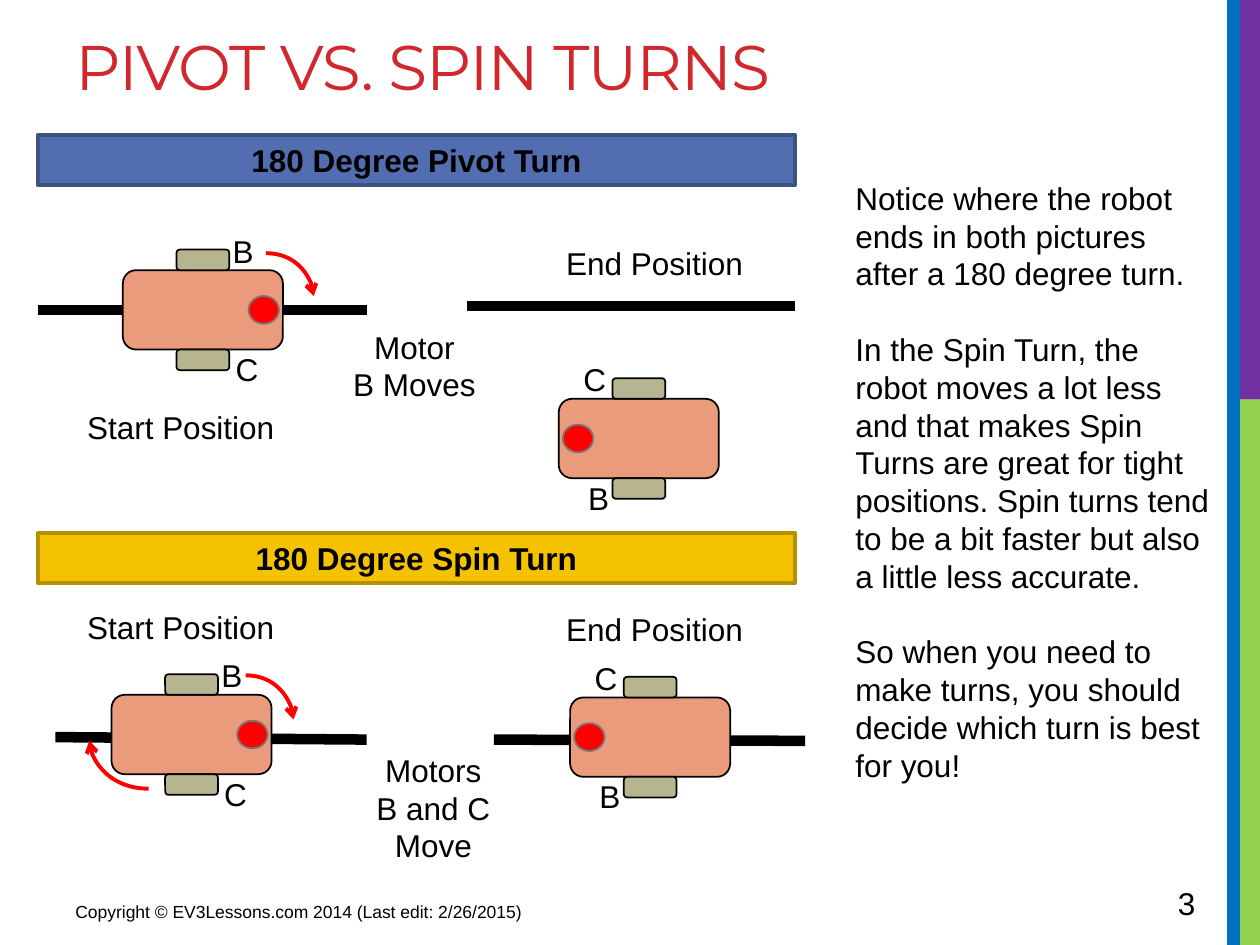
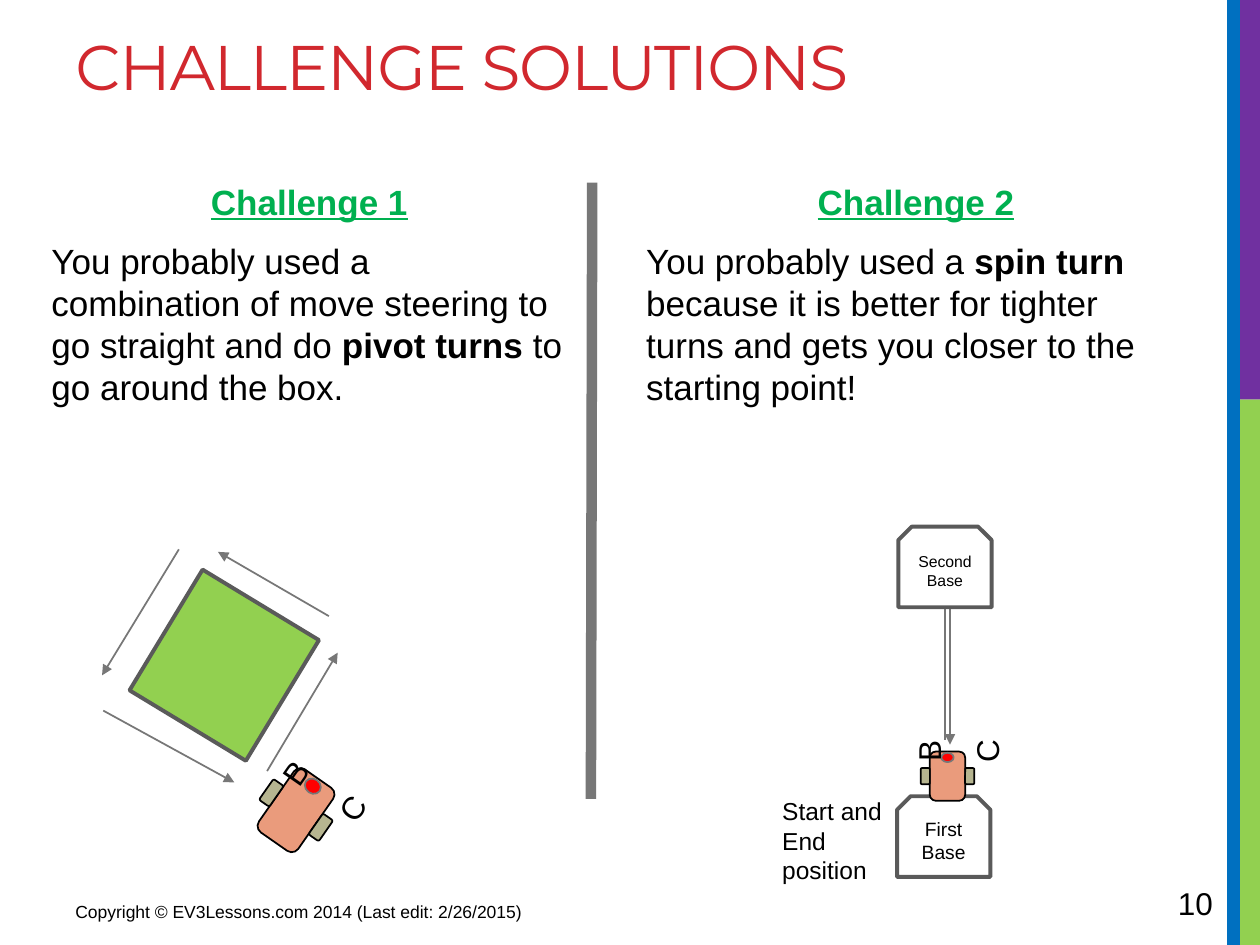
from dataclasses import dataclass
from math import cos, radians, sin

from lxml import etree
from pptx import Presentation
from pptx.dml.color import RGBColor
from pptx.enum.shapes import MSO_CONNECTOR, MSO_SHAPE
from pptx.enum.text import MSO_ANCHOR, PP_ALIGN
from pptx.oxml.ns import qn
from pptx.util import Inches, Pt

RECT, ROUNDED, OVAL = MSO_SHAPE.RECTANGLE, MSO_SHAPE.ROUNDED_RECTANGLE, MSO_SHAPE.OVAL
BASE_PLATE = MSO_SHAPE.SNIP_2_SAME_RECTANGLE
STRAIGHT, CURVE = MSO_CONNECTOR.STRAIGHT, MSO_CONNECTOR.CURVE
LEFT, CENTER = PP_ALIGN.LEFT, PP_ALIGN.CENTER
TOP, MIDDLE = MSO_ANCHOR.TOP, MSO_ANCHOR.MIDDLE


@dataclass(frozen=True)
class Theme:
    body_font: str = "Arial"
    title_font: str = "Montserrat"
    black: str = "000000"
    white: str = "FFFFFF"
    title: str = "D1282E"
    heading: str = "00B050"
    lime: str = "92D050"
    purple: str = "7030A0"
    blue: str = "0070C0"
    red: str = "FF0000"
    gray: str = "777777"
    dark_gray: str = "5A5A5A"
    robot: str = "EA9B7C"
    wheel: str = "B6B590"
    title_size: int = 36
    column_size: int = 20
    text_size: int = 18
    note_size: int = 14
    footer_size: int = 10


THEME = Theme()
WIDTH, HEIGHT = 10, 7.5
FOOTER = "Copyright © EV3Lessons.com 2014 (Last edit: 2/26/2015)"
SIDE_BANDS = [  # left, top, width, height, colour
    (9.84, 3.17, 0.16, 4.33, THEME.lime),
    (9.8, 0, 0.2, 3.17, THEME.purple),
    (9.74, 0, 0.1, HEIGHT, THEME.blue),
]

# Turns slide
TURN_BARS = [  # text, top, fill, line
    ("180 Degree Pivot Turn", 1.07, "526DB0", "3D5182"),
    ("180 Degree Spin Turn", 4.23, "F5C201", "B59001"),
]
TURN_NOTES = [
    "Notice where the robot ends in both pictures after a 180 degree turn.",
    "In the Spin Turn, the robot moves a lot less and that makes Spin Turns are great "
    "for tight positions. Spin turns tend to be a bit faster but also a little less accurate.",
    "So when you need to make turns, you should decide which turn is best for you!",
]
START, END = "Start Position", "End Position"
CAPTIONS = [  # paragraphs, left, top, width, height
    ([START], 0.5, 3.19, 1.87, 0.4),
    ([END], 4.26, 1.89, 1.87, 0.4),
    ([START], 0.5, 4.78, 1.87, 0.4),
    ([END], 4.26, 4.79, 1.87, 0.4),
    (["Motor", "B Moves"], 2.56, 2.55, 1.46, 0.71),
    (["Motors", "B and C Move"], 2.71, 5.91, 1.46, 1.01),
]
TRACKS = [
    ((0.3, 2.46), (2.91, 2.46)),
    ((3.71, 2.43), (6.31, 2.43)),
    ((0.44, 5.85), (2.91, 5.87)),
    ((3.92, 5.87), (6.39, 5.88)),
]
TURN_ROBOTS = [  # centre x, centre y, heading in degrees
    (1.61, 2.46, 90), (5.07, 3.48, 270), (1.52, 5.83, 90), (5.16, 5.85, 270),
]
TURN_ROBOT_SIZE = (0.63, 1.27)
TURN_LETTERS = {"B": (-0.47, -0.32), "C": (0.47, -0.35)}
MOTION_ARROWS = [
    ((2.11, 2.01), (2.49, 2.35)),
    ((1.95, 5.36), (2.33, 5.71)),
    ((1.18, 6.26), (0.71, 5.88)),
]

# Challenge slide
CHALLENGES = [  # heading, text with *bold* parts, left, width
    ("Challenge 1", "You probably used a combination of move steering to go straight "
     "and do *pivot turns* to go around the box.", 0.31, 4.29),
    ("Challenge 2", "You probably used a *spin turn* because it is better for tighter "
     "turns and gets you closer to the starting point!", 5.03, 4.48),
]
DIVIDER = ((4.69, 6.34), (4.7, 1.45))
BOX_ROUTE = [
    ((1.42, 4.36), (0.81, 5.36)),
    ((2.61, 4.89), (1.73, 4.38)),
    ((2.12, 6.12), (2.68, 5.18)),
    ((0.82, 5.64), (1.86, 6.21)),
]
BASE_ROUTE = [((7.5, 5.87), (7.5, 4.71)), ((7.54, 4.82), (7.54, 5.91))]
BASES = [  # text, left, top, type size
    ("First Base", 7.12, 6.32, 11),
    ("Second Base", 7.13, 4.18, 9),
]
CHALLENGE_ROBOTS = [  # centre x, centre y, heading, size, letter offsets
    (2.35, 6.43, 34.9, (0.38, 0.61), {"B": (-0.18, -0.24), "C": (0.35, -0.27)}),
    (7.52, 6.16, 0, (0.28, 0.39), {"B": (-0.15, -0.2), "C": (0.31, -0.2)}),
]


def color(value):
    return RGBColor.from_string(value)


def write(shape, text, *, size=THEME.text_size, font=THEME.body_font, ink=THEME.black,
          bold=False, underline=False, align=LEFT, anchor=TOP, before=0, after=0,
          spacing=None, inset=None, add=False):
    """Write one or more paragraphs; parts between asterisks are bold."""
    frame = shape.text_frame
    frame.word_wrap = True
    frame.vertical_anchor = anchor
    if inset is not None:
        frame.margin_left = frame.margin_right = Inches(inset)
        frame.margin_top = frame.margin_bottom = Inches(inset)
    for index, line in enumerate([text] if isinstance(text, str) else text):
        first = index == 0 and not add
        para = frame.paragraphs[0] if first else frame.add_paragraph()
        para.alignment = align
        para.space_before = Pt(0 if first else before)
        para.space_after = Pt(after)
        for part, words in enumerate(line.split("*")):
            span = para.add_run()
            span.text = words
            span.font.name, span.font.size = font, Pt(size)
            span.font.bold = bold or part % 2 == 1
            span.font.underline = underline
            span.font.color.rgb = color(ink)
            if spacing:
                span.font._element.set("spc", str(spacing))


def add_text(page, text, left, top, width, height, **style):
    box = page.shapes.add_textbox(*map(Inches, (left, top, width, height)))
    write(box, text, **style)
    return box


def add_figure(page, kind, left, top, width, height, fill, line=None, weight=1, turn=0):
    figure = page.shapes.add_shape(kind, *map(Inches, (left, top, width, height)))
    figure.shadow.inherit = False
    figure.rotation = turn
    figure.fill.solid()
    figure.fill.fore_color.rgb = color(fill)
    if line:
        figure.line.color.rgb = color(line)
        figure.line.width = Pt(weight)
    else:
        figure.line.fill.background()
    return figure


def add_line(page, ends, ink, weight, head=None, kind=STRAIGHT):
    (x1, y1), (x2, y2) = ends
    line = page.shapes.add_connector(kind, *map(Inches, (x1, y1, x2, y2)))
    line.line.color.rgb = color(ink)
    line.line.width = Pt(weight)
    properties = line._element.spPr
    if kind == CURVE:
        properties.find(qn("a:prstGeom")).set("prst", "curvedConnector2")
    if head:
        etree.SubElement(line.line._get_or_add_ln(), qn("a:tailEnd"), type=head)
    etree.SubElement(properties, qn("a:effectLst"))


def add_robot(page, x, y, heading, size, letters, letter_turn=0):
    """Draw a robot around its centre; offsets are for a robot that faces up."""
    width, length = size
    angle = radians(heading)

    def place(dx, dy):
        return x + dx * cos(angle) - dy * sin(angle), y + dx * sin(angle) + dy * cos(angle)

    wheel = (0.26 * width, 0.33 * length)
    axle = 0.63 * width
    parts = [  # kind, offset, size, fill, line
        (ROUNDED, (0, 0), size, THEME.robot, THEME.black),
        (ROUNDED, (axle, 0), wheel, THEME.wheel, THEME.black),
        (ROUNDED, (-axle, 0), wheel, THEME.wheel, THEME.black),
        (OVAL, (0, -0.38 * length), (0.35 * width, 0.19 * length), THEME.red, THEME.gray),
    ]
    for kind, offset, (w, h), fill, line in parts:
        cx, cy = place(*offset)
        add_figure(page, kind, cx - w / 2, cy - h / 2, w, h, fill, line, turn=heading)
    side = 0.32
    for letter, offset in letters.items():
        cx, cy = place(*offset)
        box = add_text(page, letter, cx - side / 2, cy - side / 2, side, side,
                       align=CENTER, anchor=MIDDLE, inset=0)
        box.rotation = letter_turn


def new_page(deck, title, number):
    page = deck.slides.add_slide(deck.slide_layouts[6])
    for band in SIDE_BANDS:
        add_figure(page, RECT, *band)
    add_text(page, title, 0.5, 0.17, 9.02, 0.8, size=THEME.title_size,
             font=THEME.title_font, ink=THEME.title, spacing=-60)
    add_text(page, FOOTER, 0.5, 7.1, 3.75, 0.31, size=THEME.footer_size)
    add_text(page, str(number), 9.25, 6.97, 0.69, 0.4)
    return page


def build_turns(deck):
    page = new_page(deck, "PIVOT VS. SPIN TURNS", 3)
    for track in TRACKS:
        add_line(page, track, THEME.black, 6)
    for text, top, fill, line in TURN_BARS:
        bar = add_figure(page, RECT, 0.3, top, 6.01, 0.4, fill, line, 2.25)
        write(bar, text, bold=True, align=CENTER, anchor=MIDDLE)
    add_text(page, TURN_NOTES, 6.69, 1.37, 3.07, 4.95, before=1.2 * THEME.text_size)
    for caption in CAPTIONS:
        add_text(page, *caption, align=CENTER)
    for robot in TURN_ROBOTS:
        add_robot(page, *robot, TURN_ROBOT_SIZE, TURN_LETTERS)
    for arrow in MOTION_ARROWS:
        add_line(page, arrow, THEME.red, 2.25, "arrow", CURVE)


def build_challenges(deck):
    page = new_page(deck, "CHALLENGE SOLUTIONS", 10)
    for heading, text, left, width in CHALLENGES:
        column = add_text(page, heading, left, 1.38, width, 4.78, size=THEME.column_size,
                          ink=THEME.heading, bold=True, underline=True, align=CENTER, after=6)
        write(column, text, size=THEME.column_size, before=4, after=6, add=True)
    add_line(page, DIVIDER, THEME.gray, 6)
    add_figure(page, RECT, 1.22, 4.74, 1.12, 1.08, THEME.lime, THEME.dark_gray, 2.25, 301.2)
    for arrow in BOX_ROUTE + BASE_ROUTE:
        add_line(page, arrow, THEME.gray, 1, "triangle")
    add_text(page, "Start and End position", 6.11, 6.27, 1.04, 0.81, size=THEME.note_size)
    for text, left, top, size in BASES:
        base = add_figure(page, BASE_PLATE, left, top, 0.74, 0.64,
                          THEME.white, THEME.dark_gray, 2.25)
        write(base, text, size=size, align=CENTER, anchor=MIDDLE)
    for x, y, heading, size, letters in CHALLENGE_ROBOTS:
        add_robot(page, x, y, heading, size, letters, heading + 270)


def main():
    deck = Presentation()
    deck.slide_width, deck.slide_height = Inches(WIDTH), Inches(HEIGHT)
    build_turns(deck)
    build_challenges(deck)
    deck.save("out.pptx")


if __name__ == "__main__":
    main()
